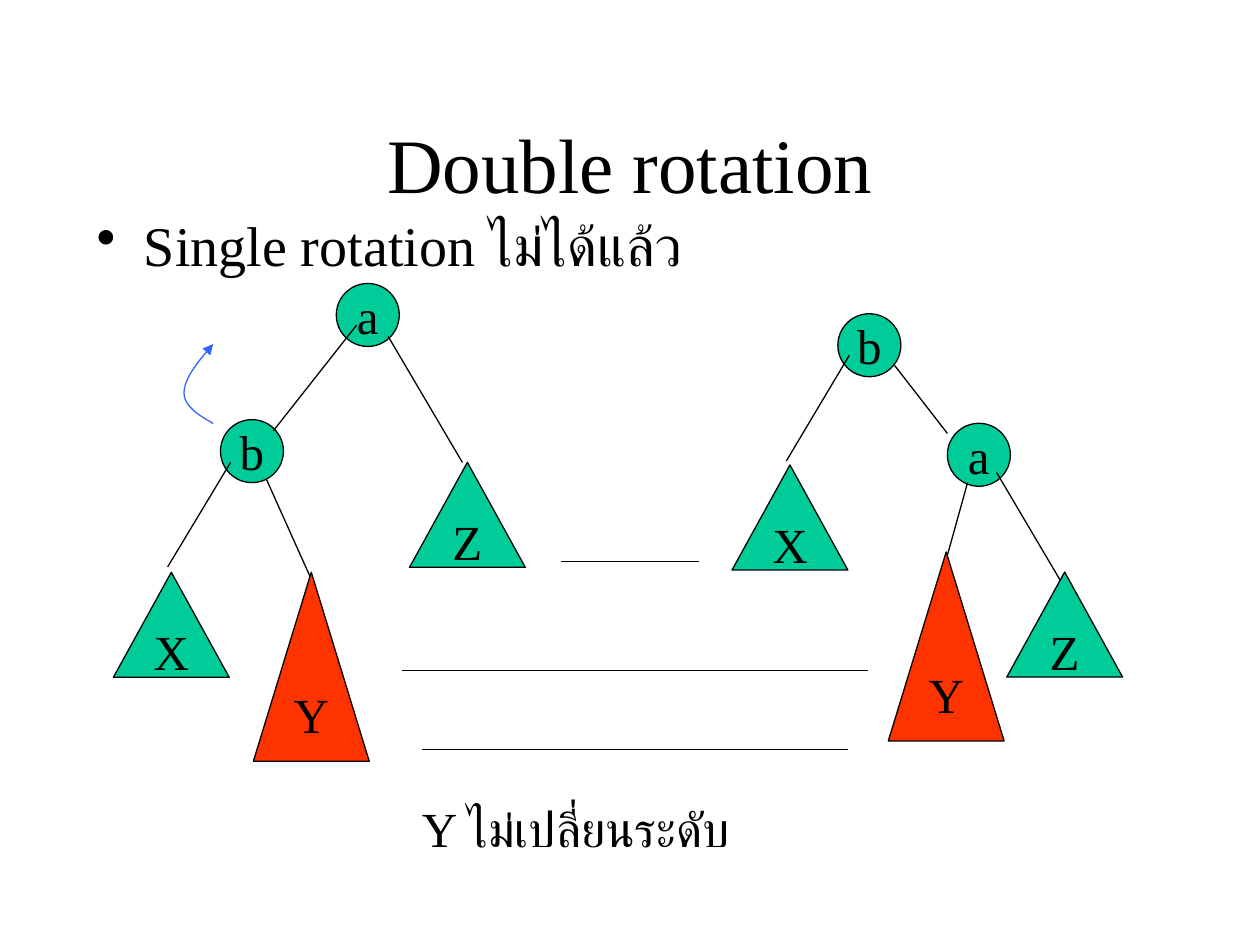
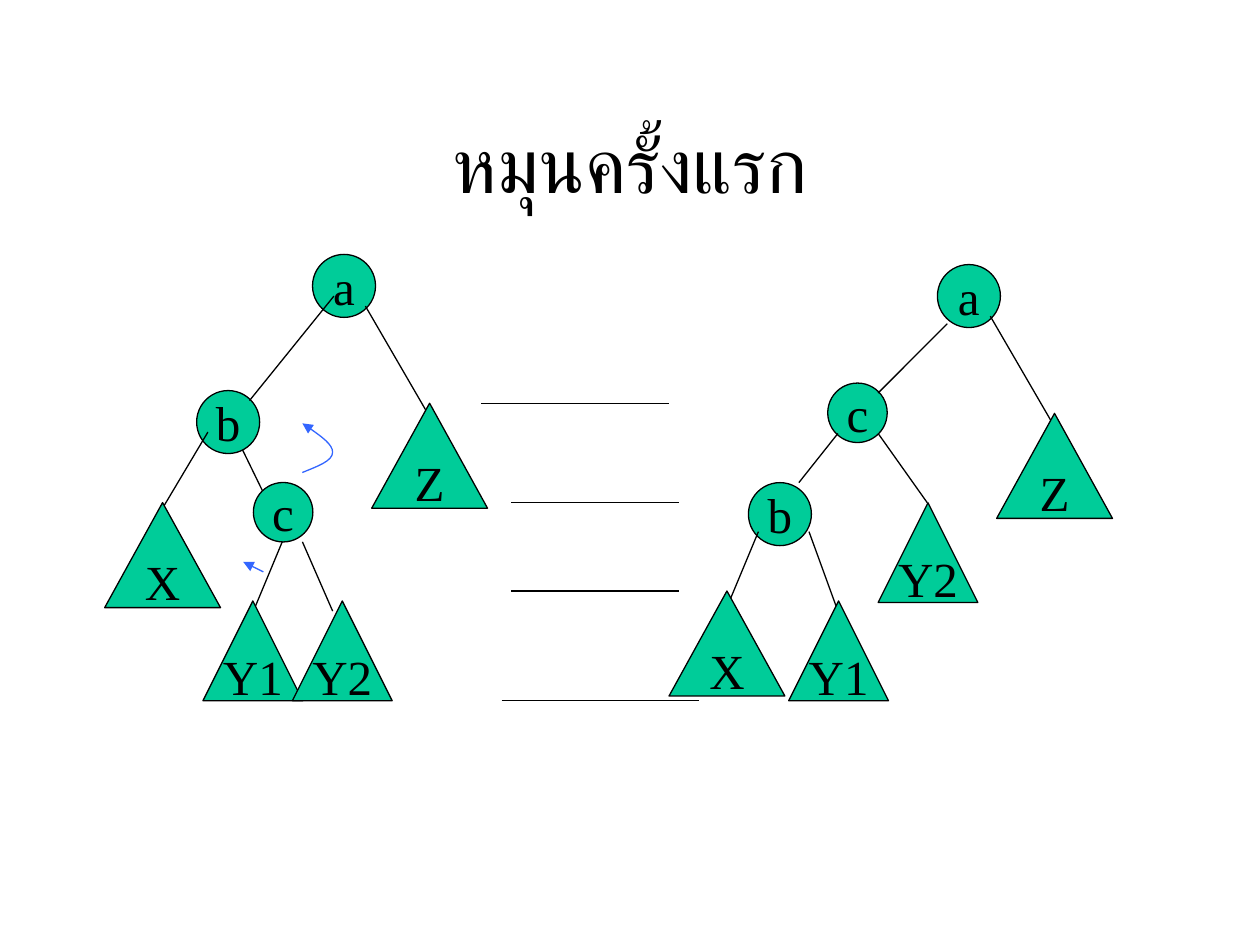
from lxml.etree import SubElement
from pptx import Presentation
from pptx.dml.color import RGBColor
from pptx.enum.shapes import MSO_CONNECTOR, MSO_SHAPE
from pptx.enum.text import MSO_ANCHOR, PP_ALIGN
from pptx.oxml.ns import qn
from pptx.util import Pt

FONT = "Times New Roman"
BLACK, GREEN, RED, BLUE = "000000", "00CC99", "FF3300", "3366FF"
TITLE_BOX = (54, 48.2, 612, 90)
BODY_BOX = (48.2, 116.6, 612, 324)
CAPTION_BOX = (234, 453, 198, 41)
LARGE, SMALL, TALL = (66.2, 60), (57, 57), (66.2, 108)
LARGE_NODE, SMALL_NODE = 36, 34

BEFORE_SINGLE = {
    "origin": (64.8, 162),
    "covered_edges": [(85.7, 108, 113.8, 170.6)],
    "nodes": [("a", 127.4, 0, LARGE_NODE), ("b", 61.2, 77.8, LARGE_NODE)],
    "edges": [(139, 23.8, 91.4, 84.2), (157, 30.2, 199.4, 102.2), (67, 102.2, 31, 162)],
    "subtrees": [("Y", 80, 165, TALL), ("X", 0, 165, LARGE), ("Z", 169.2, 102.2, LARGE)],
    "turn": [(57, 80), (48.2, 75), (40.3, 69.8), (40.3, 62.6),
             (40.3, 55.4), (48.2, 44.6), (57, 34.6)],
}
AFTER_SINGLE = {
    "origin": (418.3, 179.3),
    "nodes": [("a", 123.1, 62.6, LARGE_NODE), ("b", 60.5, 0, LARGE_NODE)],
    "edges": [(123.1, 68.4, 92.9, 29.5), (151.2, 90.7, 193.7, 162.7),
              (134.6, 96.5, 117.4, 158.4), (67, 23.8, 31, 84.2)],
    "subtrees": [("Y", 89.3, 136.1, TALL), ("X", 0, 86.4, LARGE), ("Z", 157, 147.6, LARGE)],
}
BEFORE_FIRST_TURN = {
    "origin": (59.8, 145.4),
    "covered_edges": [(77, 108, 90.7, 136.1)],
    "nodes": [("c", 85, 130.3, SMALL_NODE), ("a", 118.8, 0, LARGE_NODE),
              ("b", 52.6, 77.8, LARGE_NODE)],
    "edges": [(131, 23.8, 82.8, 83.5), (149, 29.5, 190.8, 101.5), (59, 101.5, 23, 162),
              (101.5, 164.2, 85, 203.8), (113, 164.2, 130.3, 203.8)],
    "subtrees": [("X", 0, 141.8, LARGE), ("Z", 152.6, 85, LARGE),
                 ("Y1", 56.2, 198, SMALL), ("Y2", 107.3, 198, SMALL)],
    "turn": [(113, 124.6), (121.7, 121), (130.3, 118.1), (130.3, 113),
             (130.3, 108.7), (121.7, 102.2), (113, 96.5)],
    "push": (90.7, 181.4, 79.2, 175.7),
}
AFTER_FIRST_TURN = {
    "origin": (382.3, 151.2),
    "nodes": [("c", 90.7, 67.7, SMALL_NODE), ("a", 153.4, 0, LARGE_NODE),
              ("b", 45.4, 124.6, LARGE_NODE)],
    "edges": [(119.5, 96.5, 147.6, 136.1), (159, 33.8, 119.5, 73.4),
              (183.6, 29.5, 225.4, 101.5), (51.1, 152.6, 34.6, 192.2),
              (80, 152.6, 96.5, 198), (74.2, 124.6, 96.5, 96.5)],
    "subtrees": [("X", 0, 186.5, LARGE), ("Z", 187.2, 85, LARGE),
                 ("Y1", 68.4, 192.2, SMALL), ("Y2", 119.5, 136.1, SMALL)],
}
SINGLE_LEVELS = [(320.4, 399.6, 321), (229.7, 496, 383), (241.2, 484.6, 428.4)]
FIRST_TURN_LEVELS = [(275, 382.3, 230.4), (292.3, 388, 287.3),
                     (292.3, 388, 337.7), (286.6, 399.6, 400.3)]


def color(hex_code):
    return RGBColor.from_string(hex_code)


def write(paragraph, text, size):
    run = paragraph.add_run()
    run.text = text
    run.font.name = FONT
    run.font.size = Pt(size)
    run.font.color.rgb = color(BLACK)
    SubElement(run.font._element, qn("a:cs"), typeface=FONT)


def add_text(slide, box, text, size, anchor=MSO_ANCHOR.TOP, align=PP_ALIGN.LEFT):
    frame = slide.shapes.add_textbox(*map(Pt, box)).text_frame
    frame.word_wrap = True
    frame.vertical_anchor = anchor
    paragraph = frame.paragraphs[0]
    paragraph.alignment = align
    write(paragraph, text, size)
    return paragraph


def add_title(slide, text):
    add_text(slide, TITLE_BOX, text, 44, MSO_ANCHOR.MIDDLE, PP_ALIGN.CENTER)


def add_bullet(slide, text):
    paragraph = add_text(slide, BODY_BOX, text, 32)
    paragraph.space_before = Pt(8)
    properties = paragraph._p.get_or_add_pPr()
    properties.set("marL", str(Pt(27)))
    properties.set("indent", str(Pt(-27)))
    SubElement(properties, qn("a:buChar"), char="•")


def style_line(line, hex_code, arrow=False):
    line.color.rgb = color(hex_code)
    line.width = Pt(0.75)
    if arrow:
        SubElement(line._get_or_add_ln(), qn("a:tailEnd"), type="triangle")


def add_line(slide, x1, y1, x2, y2, hex_code=BLACK, arrow=False):
    line = slide.shapes.add_connector(MSO_CONNECTOR.STRAIGHT, *map(Pt, (x1, y1, x2, y2)))
    style_line(line.line, hex_code, arrow)
    SubElement(line._element.spPr, qn("a:effectLst"))


def add_labelled(slide, preset, label, x, y, width, height, fill):
    shape = slide.shapes.add_shape(preset, *map(Pt, (x, y, width, height)))
    shape.shadow.inherit = False
    shape.fill.solid()
    shape.fill.fore_color.rgb = color(fill)
    style_line(shape.line, BLACK)
    frame = shape.text_frame
    frame.word_wrap = False
    frame.vertical_anchor = MSO_ANCHOR.MIDDLE
    frame.paragraphs[0].alignment = PP_ALIGN.CENTER
    write(frame.paragraphs[0], label, 28)


def add_turn(slide, points):
    start, *controls = [(Pt(x), Pt(y)) for x, y in points]
    builder = slide.shapes.build_freeform(*start)
    builder.add_line_segments(controls, close=False)
    curve = builder.convert_to_shape()
    curve.shadow.inherit = False
    curve.fill.background()
    style_line(curve.line, BLUE, arrow=True)
    outline = curve._element.find(".//" + qn("a:path"))
    segments = outline.findall(qn("a:lnTo"))
    for first in range(0, len(segments), 3):
        bezier = SubElement(outline, qn("a:cubicBezTo"))
        for segment in segments[first:first + 3]:
            bezier.append(segment[0])
            outline.remove(segment)


def add_tree(slide, tree):
    left, top = tree["origin"]

    def add_edge(x1, y1, x2, y2, *style):
        add_line(slide, left + x1, top + y1, left + x2, top + y2, *style)

    for edge in tree.get("covered_edges", []):
        add_edge(*edge)
    for label, x, y, size in tree["nodes"]:
        add_labelled(slide, MSO_SHAPE.OVAL, label, left + x, top + y, size, size, GREEN)
    for edge in tree["edges"]:
        add_edge(*edge)
    for label, x, y, size in tree["subtrees"]:
        fill = RED if size == TALL else GREEN
        add_labelled(slide, MSO_SHAPE.ISOSCELES_TRIANGLE, label, left + x, top + y, *size, fill)
    if "turn" in tree:
        add_turn(slide, [(left + x, top + y) for x, y in tree["turn"]])
    if "push" in tree:
        add_edge(*tree["push"], BLUE, True)


def add_rotation_slide(deck, title, before, after, levels):
    slide = deck.slides.add_slide(deck.slide_layouts[6])
    add_title(slide, title)
    add_tree(slide, before)
    add_tree(slide, after)
    for start, end, y in levels:
        add_line(slide, start, y, end, y)
    return slide


def main():
    deck = Presentation()
    deck.slide_width, deck.slide_height = Pt(720), Pt(540)
    single = add_rotation_slide(deck, "Double rotation", BEFORE_SINGLE, AFTER_SINGLE,
                                SINGLE_LEVELS)
    add_bullet(single, "Single rotation ไม่ได้แล้ว")
    add_text(single, CAPTION_BOX, "Y ไม่เปลี่ยนระดับ", 28)
    add_rotation_slide(deck, "หมุนครั้งแรก", BEFORE_FIRST_TURN, AFTER_FIRST_TURN,
                       FIRST_TURN_LEVELS)
    deck.save("out.pptx")


if __name__ == "__main__":
    main()
